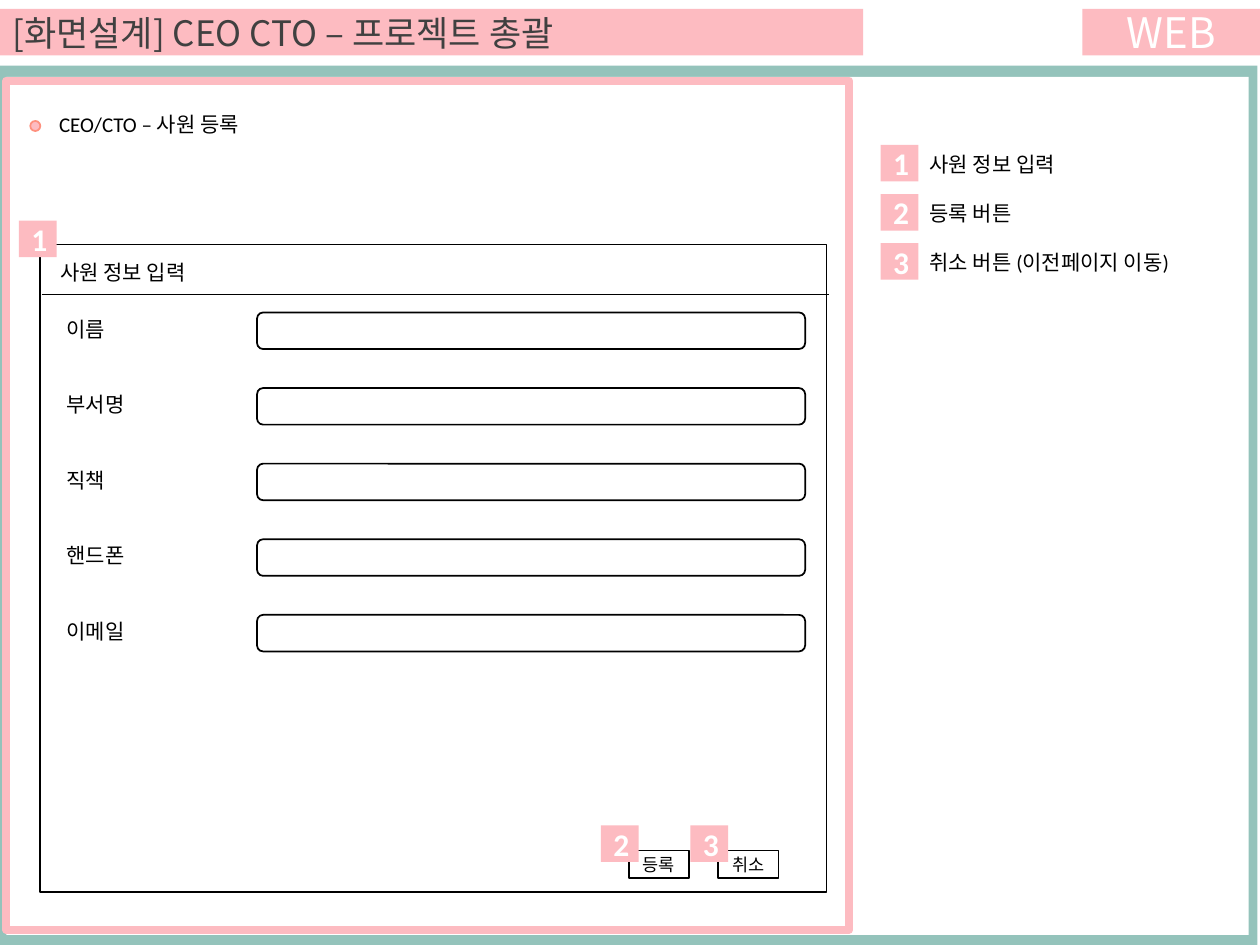
import pptx
import pptx.dml.color
import pptx.enum.shapes
import pptx.enum.text
import pptx.util
from lxml import etree
from pptx.oxml.ns import qn

HUE = {"pink": "FDBBC1", "teal": "94C3BB", "coral": "FE907E",
       "white": "FFFFFF", "black": "000000", "gray": "404040"}
KIND = pptx.enum.shapes.MSO_SHAPE
ALIGN = pptx.enum.text.PP_ALIGN
MID = pptx.enum.text.MSO_ANCHOR.MIDDLE
GROW = pptx.enum.text.MSO_AUTO_SIZE.SHAPE_TO_FIT_TEXT

# Content
TITLE = "[화면설계] CEO CTO – 프로젝트 총괄"
TAG = "WEB"
HEAD = "CEO/CTO – 사원 등록"
FORM = "사원 정보 입력"
FIELDS = ["이름", "부서명", "직책", "핸드폰", "이메일"]
BUTTONS = ["등록", "취소"]
NOTES = ["사원 정보 입력", "등록 버튼", "취소 버튼 (이전페이지 이동)"]

# Text formats
KOR = "Noto Sans CJK KR"
STYLE = {
    "title": ({"size": 20, "name": KOR}, "gray"),
    "tag": ({"size": 24, "name": KOR}, "white"),
    "badge": ({"size": 18, "name": "Calibri", "bold": True}, "white"),
    "button": ({"size": 10, "name": "Calibri"}, "black"),
    "body": ({"size": 12, "name": "Calibri"}, "black"),
}

# Grid, in inches
WIDE, HIGH = 10, 7.5
BAR = (0.07, 0.37)            # top and height of the header bars
FRAME = (0.32, 1.94, 6.24, 5.14)
BADGE = (0.3, 0.29)
FIELD = (2.04, 2.48, 4.35, 0.29)
STEP = 0.6                    # field to field
NOTE = (6.99, 1.15, 0.39)     # left, top, step of the legend
PRESS = (4.99, 6.75, 0.71)    # left, top, step of the buttons

deck = pptx.Presentation()
deck.slide_width = pptx.util.Inches(WIDE)
deck.slide_height = pptx.util.Inches(HIGH)
slide = deck.slides.add_slide(deck.slide_layouts[6])


def inches(*vals):
    return [pptx.util.Inches(v) for v in vals]


def tone(name):
    return pptx.dml.color.RGBColor.from_string(HUE[name])


def write(frame, text, style, align=ALIGN.LEFT):
    form, hue = STYLE[style]
    para = frame.paragraphs[0]
    para.alignment = align
    run = para.add_run()
    run.text = text
    for key, val in form.items():
        setattr(run.font, key, pptx.util.Pt(val) if key == "size" else val)
    run.font.color.rgb = tone(hue)


def block(box, fill=None, line=None, wide=1, kind=KIND.RECTANGLE, home=slide):
    item = home.shapes.add_shape(kind, *inches(*box))
    item.shadow.inherit = False
    if fill:
        item.fill.solid()
        item.fill.fore_color.rgb = tone(fill)
    else:
        item.fill.background()
    if line:
        item.line.color.rgb = tone(line)
        item.line.width = pptx.util.Pt(wide)
    else:
        item.line.fill.background()
    item.text_frame.vertical_anchor = MID
    return item


def label(left, top, wide, text):
    box = slide.shapes.add_textbox(*inches(left, top, wide, 0.3))
    box.text_frame.word_wrap = True
    box.text_frame.auto_size = GROW
    write(box.text_frame, text, "body")


def badge(left, top, num):
    item = block((left, top, *BADGE), "pink")
    write(item.text_frame, str(num), "badge", ALIGN.CENTER)


# Page frame and header
page = slide.shapes.add_group_shape()


class Home:
    shapes = page.shapes


block((-0.02, 0.52, WIDE, 6.98), "teal", home=Home)
block((0.05, 0.61, 9.86, 6.81), "white", home=Home)
block((0.05, 0.64, 6.69, 6.74), line="pink", wide=4.5, home=Home)
bar = block((0, BAR[0], 6.85, BAR[1]), "pink")
write(bar.text_frame, TITLE, "title")
tag = block((8.59, BAR[0], WIDE - 8.59, BAR[1]), "pink")
write(tag.text_frame, TAG, "tag", ALIGN.CENTER)
block((0.24, 0.96, 0.08, 0.08), "pink", "coral", kind=KIND.OVAL)
label(0.37, 0.84, 3.82, HEAD)

# Form
block(FRAME, "white", "black")
label(0.38, 2.01, 1.83, FORM)
rule = slide.shapes.add_connector(
    pptx.enum.shapes.MSO_CONNECTOR.STRAIGHT, *inches(0.33, 2.34, 6.58, 2.34))
rule.line.color.rgb = tone("black")
rule.line.width = pptx.util.Pt(0.5)
etree.SubElement(rule.element.spPr, qn("a:effectLst"))
badge(0.15, 1.75, 1)

left, top, wide, high = FIELD
for row, name in enumerate(FIELDS):
    y = top + row * STEP
    block((left, y, wide, high), "white", "black",
          kind=KIND.ROUNDED_RECTANGLE)
    label(0.43, y - 0.02, 1.06, name)

left, top, step = PRESS
for col, name in enumerate(BUTTONS):
    x = left + col * step
    key = block((x, top, 0.48, 0.22), "white", "black")
    key.text_frame.word_wrap = False
    write(key.text_frame, name, "button", ALIGN.CENTER)
    badge(x - 0.22, top - 0.2, col + 2)

# Legend
left, top, step = NOTE
for row, text in enumerate(NOTES):
    y = top + row * step
    badge(left, y, row + 1)
    label(left + 0.29, y, 2.24, text)

deck.save("out.pptx")
